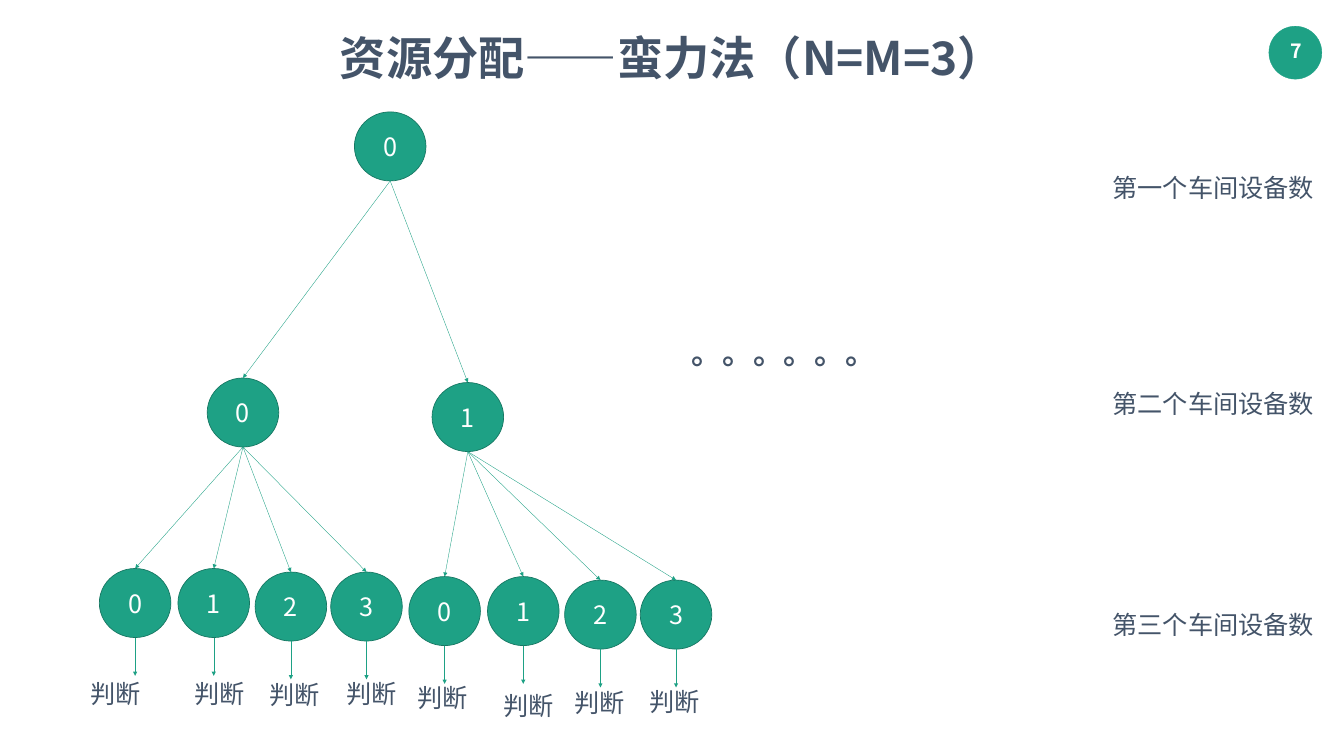
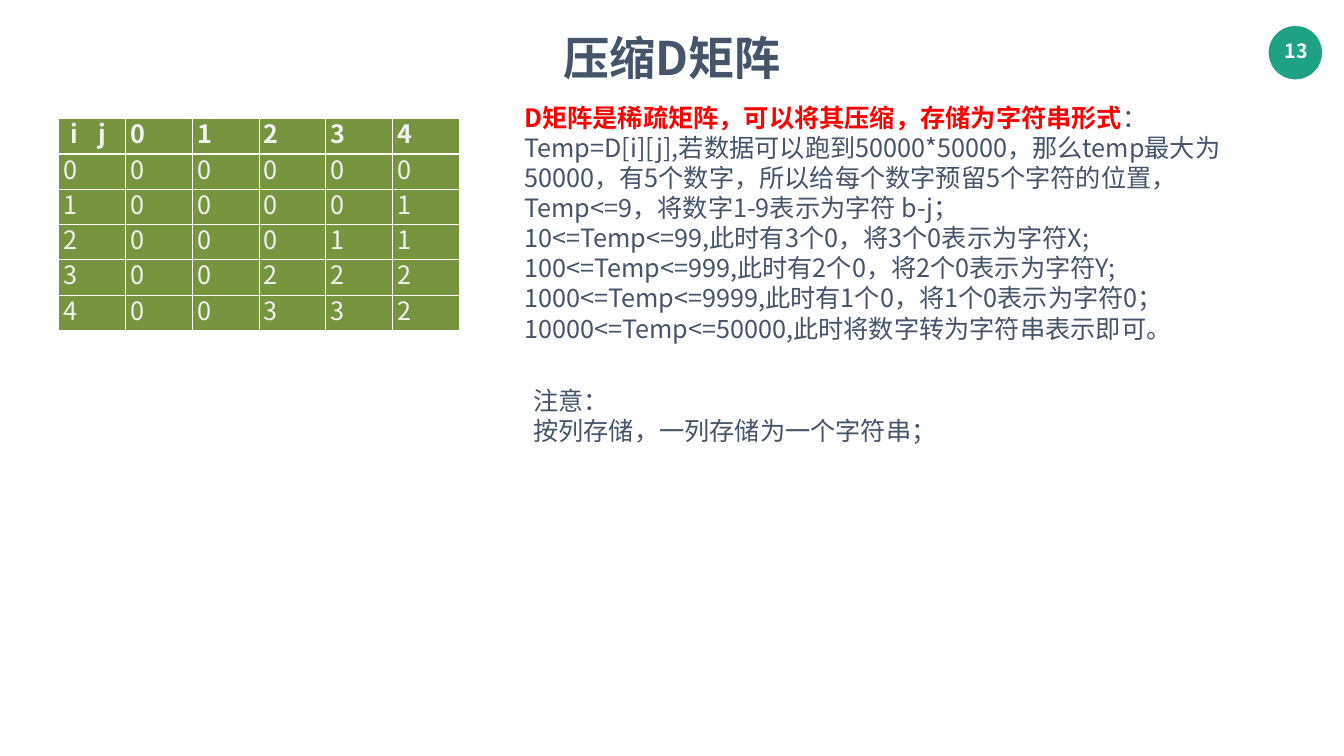
from dataclasses import dataclass
from typing import NamedTuple

from lxml.etree import SubElement
from pptx import Presentation
from pptx.dml.color import RGBColor
from pptx.enum.shapes import MSO_CONNECTOR, MSO_SHAPE
from pptx.enum.text import MSO_ANCHOR, MSO_AUTO_SIZE, PP_ALIGN
from pptx.oxml.ns import qn
from pptx.util import Inches, Pt


@dataclass(frozen=True)
class Style:
    size: int
    color: str
    bold: bool = False
    align: PP_ALIGN = PP_ALIGN.LEFT


@dataclass(frozen=True)
class Theme:
    font: str = "Noto Sans CJK SC"
    green: str = "1EA185"
    edge: str = "167762"
    olive: str = "77943E"
    white: str = "FFFFFF"
    title: Style = Style(66, "445469", True, PP_ALIGN.CENTER)
    body: Style = Style(36, "445469")
    alert: Style = Style(36, "FF0000", True)
    dots: Style = Style(44, "445469", True)
    node: Style = Style(36, "FFFFFF", False, PP_ALIGN.CENTER)
    badge: Style = Style(28, "FFFFFF", True, PP_ALIGN.CENTER)
    head: Style = Style(36, "F2F2F2", True)
    cell: Style = Style(36, "F2F2F2")


THEME = Theme()


class Box(NamedTuple):
    left: float
    top: float
    width: float
    height: float

    def place(self) -> list:
        return [Inches(side) for side in self]


class Node(NamedTuple):
    text: str
    left: float
    top: float


class Note(NamedTuple):
    left: float
    top: float
    width: float


class Branch(NamedTuple):
    node: Node
    shift: tuple
    notes: list


class Label(NamedTuple):
    text: str
    box: Box
    style: Style


NODE_W, NODE_H, DROP = 1.42, 1.37, 0.76
TITLE_BOX = Box(6.57, 0.53, 13.52, 1.21)
BADGE_DISC = Box(25.17, 0.52, 1.05, 1.05)
BADGE_BOX = Box(25.24, 0.66, 0.95, 0.67)

ROOT = Node("0", 7.03, 2.22)
LEAVES = [Node("0", 1.97, 11.28), Node("1", 3.53, 11.28),
          Node("2", 5.06, 11.35), Node("3", 6.56, 11.35)]
BRANCHES = [
    Branch(Node("0", 4.11, 7.5), (0, 0),
           [Note(1.7, 13.41, 2.41), Note(3.75, 13.41, 1.78),
            Note(5.24, 13.44, 1.78), Note(6.78, 13.41, 3.41)]),
    Branch(Node("1", 8.57, 7.59), (6.14, 0.16),
           [Note(8.18, 13.49, 2.41), Note(9.89, 13.65, 1.78),
            Note(11.3, 13.6, 1.78), Note(12.78, 13.58, 3.41)]),
]
LABELS = [Label(f"第{rank}个车间设备数", Box(21.97, top, 4.69, 0.71), THEME.body)
          for rank, top in zip("一二三", (3.38, 7.65, 12.05))]
LABELS.append(Label("。。。。。。", Box(13.62, 6.57, 6.47, 0.84), THEME.dots))

MATRIX = ["01234", "00000", "00001", "00011", "00222", "00332"]
RULES = [
    "D矩阵是稀疏矩阵，可以将其压缩，存储为字符串形式",
    "Temp=D[i][j],若数据可以跑到50000*50000，那么temp最大为50000，"
    "有5个数字，所以给每个数字预留5个字符的位置，",
    "Temp<=9，将数字1-9表示为字符 b-j；",
    "10<=Temp<=99,此时有3个0，将3个0表示为字符X;",
    "100<=Temp<=999,此时有2个0，将2个0表示为字符Y;",
    "1000<=Temp<=9999,此时有1个0，将1个0表示为字符0；",
    "10000<=Temp<=50000,此时将数字转为字符串表示即可。",
]
HINT = Label("注意：\n按列存储，一列存储为一个字符串；", Box(10.48, 7.6, 14.14, 1.31), THEME.body)


def tint(color: str) -> RGBColor:
    return RGBColor.from_string(color)


def style_run(run, style: Style) -> None:
    font = run.font
    font.name, font.size, font.bold = THEME.font, Pt(style.size), style.bold
    font.color.rgb = tint(style.color)
    SubElement(run.font._element, qn("a:ea"), typeface=THEME.font)


def write(frame, text: str, style: Style) -> None:
    frame.text = text
    for line in frame.paragraphs:
        line.alignment = style.align
        line.line_spacing = Pt(round(style.size * 1.2))
        line.space_before = Pt(0)
        for run in line.runs:
            style_run(run, style)


def set_frame(shape, box: Box) -> None:
    shape.left, shape.top, shape.width, shape.height = box.place()
    frame = shape.text_frame
    frame.word_wrap = True
    frame.auto_size = MSO_AUTO_SIZE.NONE
    frame.vertical_anchor = MSO_ANCHOR.TOP


def add_label(slide, label: Label):
    shape = slide.shapes.add_textbox(*label.box.place())
    shape.text_frame.word_wrap = True
    write(shape.text_frame, label.text, label.style)
    return shape


def add_disc(slide, box: Box, edge: str, weight: float):
    disc = slide.shapes.add_shape(MSO_SHAPE.OVAL, *box.place())
    disc.shadow.inherit = False
    disc.fill.solid()
    disc.fill.fore_color.rgb = tint(THEME.green)
    disc.line.color.rgb = tint(edge)
    disc.line.width = Pt(weight)
    return disc


def add_node(slide, node: Node):
    disc = add_disc(slide, Box(node.left, node.top, NODE_W, NODE_H), THEME.edge, 1)
    disc.text_frame.vertical_anchor = MSO_ANCHOR.MIDDLE
    write(disc.text_frame, node.text, THEME.node)
    return disc


def add_arrow(slide, start, end=None):
    left = start.left + start.width // 2
    top = start.top + start.height
    arrow = slide.shapes.add_connector(
        MSO_CONNECTOR.STRAIGHT, left, top, left, top + Inches(DROP))
    if end is not None:
        arrow.end_connect(end, 0)
    arrow.line.color.rgb = tint(THEME.green)
    arrow.line.width = Pt(0.5)
    SubElement(arrow.line._get_or_add_ln(), qn("a:tailEnd"), type="triangle")
    SubElement(arrow._element.spPr, qn("a:effectLst"))


def add_page(deck, layout: int, title: str, number: str):
    slide = deck.slides.add_slide(deck.slide_layouts[layout])
    set_frame(slide.shapes.title, TITLE_BOX)
    write(slide.shapes.title.text_frame, title, THEME.title)
    add_disc(slide, BADGE_DISC, THEME.green, 0.5)
    badge = add_label(slide, Label(number, BADGE_BOX, THEME.badge)).text_frame
    badge.word_wrap = False
    badge.margin_left = badge.margin_right = Inches(0.2)
    badge.margin_top = badge.margin_bottom = Inches(0.1)
    return slide


def draw_tree(slide) -> None:
    for label in LABELS:
        add_label(slide, label)
    root = add_node(slide, ROOT)
    for branch in BRANCHES:
        stem = add_node(slide, branch.node)
        add_arrow(slide, root, stem)
        right, down = branch.shift
        for leaf, note in zip(LEAVES, branch.notes):
            disc = add_node(slide, Node(leaf.text, leaf.left + right, leaf.top + down))
            add_arrow(slide, stem, disc)
            add_arrow(slide, disc)
            box = Box(note.left, note.top, note.width, 0.71)
            add_label(slide, Label("判断", box, THEME.body))


def set_edge(cell, side: str, weight: float) -> None:
    line = SubElement(cell._tc.get_or_add_tcPr(), qn(f"a:ln{side}"), w=str(Pt(weight)))
    fill = SubElement(line, qn("a:solidFill"))
    SubElement(fill, qn("a:srgbClr"), val=THEME.white)


def draw_table(slide) -> None:
    count = len(MATRIX)
    box = Box(1.16, 2.35, 7.95, 4.2)
    table = slide.shapes.add_table(count, count, *box.place()).table
    for row, digits in enumerate(MATRIX):
        first = "i\tj" if row == 0 else str(row - 1)
        for col, text in enumerate([first, *digits]):
            cell = table.cell(row, col)
            for side in "LRTB":
                thick = (row, side) in ((0, "B"), (1, "T"))
                set_edge(cell, side, 3 if thick else 1)
            cell.fill.solid()
            cell.fill.fore_color.rgb = tint(THEME.olive)
            write(cell.text_frame, text, THEME.cell if row else THEME.head)
    corner = table.cell(0, 0)
    corner.margin_left = Inches(0.23)
    corner.margin_right = Inches(0)
    props = corner.text_frame.paragraphs[0]._p.get_or_add_pPr()
    tabs = SubElement(props, qn("a:tabLst"))
    SubElement(tabs, qn("a:tab"), pos=str(Inches(0.57)), algn="l")


def draw_rules(slide) -> None:
    body = slide.placeholders[1]
    set_frame(body, Box(10.3, 1.98, 14.14, 4.95))
    write(body.text_frame, "\n".join(RULES), THEME.body)
    for line in body.text_frame.paragraphs:
        props = line._p.get_or_add_pPr()
        props.set("marL", "0")
        props.set("indent", "0")
        SubElement(props, qn("a:buNone"))
    lead = body.text_frame.paragraphs[0]
    lead.runs[0].font.bold = THEME.alert.bold
    lead.runs[0].font.color.rgb = tint(THEME.alert.color)
    colon = lead.add_run()
    colon.text = "："
    style_run(colon, THEME.body)


def main() -> None:
    deck = Presentation()
    deck.slide_width, deck.slide_height = Inches(26.66), Inches(15)
    draw_tree(add_page(deck, 5, "资源分配——蛮力法（N=M=3）", "7"))
    page = add_page(deck, 1, "压缩D矩阵", "13")
    draw_table(page)
    draw_rules(page)
    add_label(page, HINT)
    deck.save("out.pptx")


if __name__ == "__main__":
    main()
